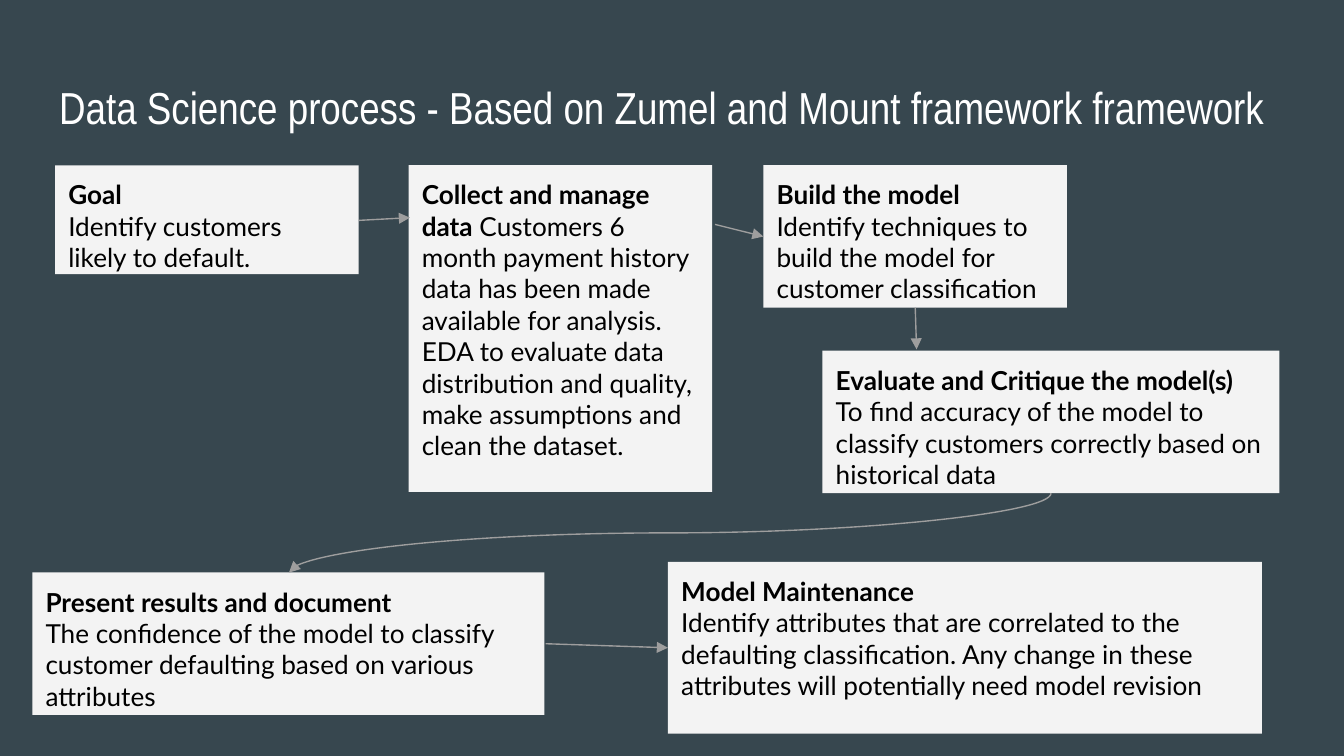
from pptx import Presentation
from pptx.dml.color import RGBColor
from pptx.enum.shapes import MSO_CONNECTOR, MSO_SHAPE
from pptx.enum.text import MSO_ANCHOR, PP_ALIGN
from pptx.oxml.ns import qn
from pptx.util import Inches, Pt
from lxml.etree import SubElement


def paint(fmt, color):
    fmt.solid()
    fmt.fore_color.rgb = RGBColor.from_string(color)


def write(para, text, font, size, color, bold=False):
    para.alignment = PP_ALIGN.LEFT
    run = para.add_run()
    run.text = text
    run.font.name = font
    run.font.size = Pt(size)
    run.font.bold = bold
    paint(run.font.fill, color)


deck = Presentation()
deck.slide_width = Inches(10)
deck.slide_height = Inches(10) * 9 // 16
slide = deck.slides.add_slide(deck.slide_layouts[5])
paint(slide.background.fill, "37474F")

title = slide.shapes.title
title.left, title.top = Inches(0.34), Inches(0.49)
title.width, title.height = Inches(9.32), Inches(0.63)
write(title.text_frame.paragraphs[0],
      "Data Science process - Based on Zumel and Mount framework framework",
      "Arial Narrow", 24, "FFFFFF")

steps = [
    (0.41, 1.23, 2.26, 0.81, [
        [("Goal", True)],
        [("Identify customers likely to default.", False)]]),
    (3.04, 1.23, 2.26, 2.43, [
        [("Collect and manage data", True),
         (" Customers 6 month payment history data has been made available for analysis.", False)],
        [("EDA to evaluate data distribution and quality, make assumptions and clean the dataset.", False)]]),
    (5.68, 1.23, 2.26, 1.06, [
        [("Build the model", True)],
        [("Identify techniques to build the model for customer classification", False)]]),
    (6.12, 2.61, 3.4, 1.06, [
        [("Evaluate and Critique the model(s)", True)],
        [("To find accuracy of the model to classify customers correctly based on historical data", False)]]),
    (0.24, 4.26, 3.81, 1.06, [
        [("Present results and document", True)],
        [("The confidence of the model to classify customer defaulting based on various attributes", False)]]),
    (4.97, 4.18, 4.42, 1.28, [
        [("Model Maintenance", True)],
        [("Identify attributes that are correlated to the defaulting classification. "
          "Any change in these attributes will potentially need model revision", False)]]),
]
for left, top, width, height, paras in steps:
    box = slide.shapes.add_shape(MSO_SHAPE.RECTANGLE, Inches(left), Inches(top),
                                 Inches(width), Inches(height))
    box.shadow.inherit = False
    paint(box.fill, "F3F3F3")
    box.line.fill.background()
    for index, runs in enumerate(paras):
        frame = box.text_frame
        para = frame.add_paragraph() if index else frame.paragraphs[0]
        for text, bold in runs:
            write(para, text, "Lato", 14, "000000", bold)

for frame in [shape.text_frame for shape in slide.shapes]:
    frame.word_wrap = True
    frame.vertical_anchor = MSO_ANCHOR.TOP
    frame.margin_left = frame.margin_right = Inches(0.1)
    frame.margin_top = frame.margin_bottom = Inches(0.1)

arrows = [
    (MSO_CONNECTOR.STRAIGHT, 2.67, 1.64, 3.05, 1.62, 0),
    (MSO_CONNECTOR.STRAIGHT, 5.32, 1.67, 5.68, 1.76, 0),
    (MSO_CONNECTOR.STRAIGHT, 6.81, 2.29, 6.82, 2.6, 0),
    (MSO_CONNECTOR.CURVE, 4.69, 1.13, 5.28, 6.8, 90),
    (MSO_CONNECTOR.STRAIGHT, 4.06, 4.79, 4.97, 4.82, 0),
]
for kind, left, top, right, bottom, turn in arrows:
    arrow = slide.shapes.add_connector(kind, Inches(left), Inches(top),
                                       Inches(right), Inches(bottom))
    paint(arrow.line.fill, "9E9E9E")
    arrow.line.width = Pt(0.75)
    props = arrow._element.spPr
    if turn:
        props.find(qn("a:xfrm")).set("rot", str(turn * 60000))
    SubElement(props.find(qn("a:ln")), qn("a:tailEnd"), type="triangle")
    SubElement(props, qn("a:effectLst"))

deck.save("out.pptx")
